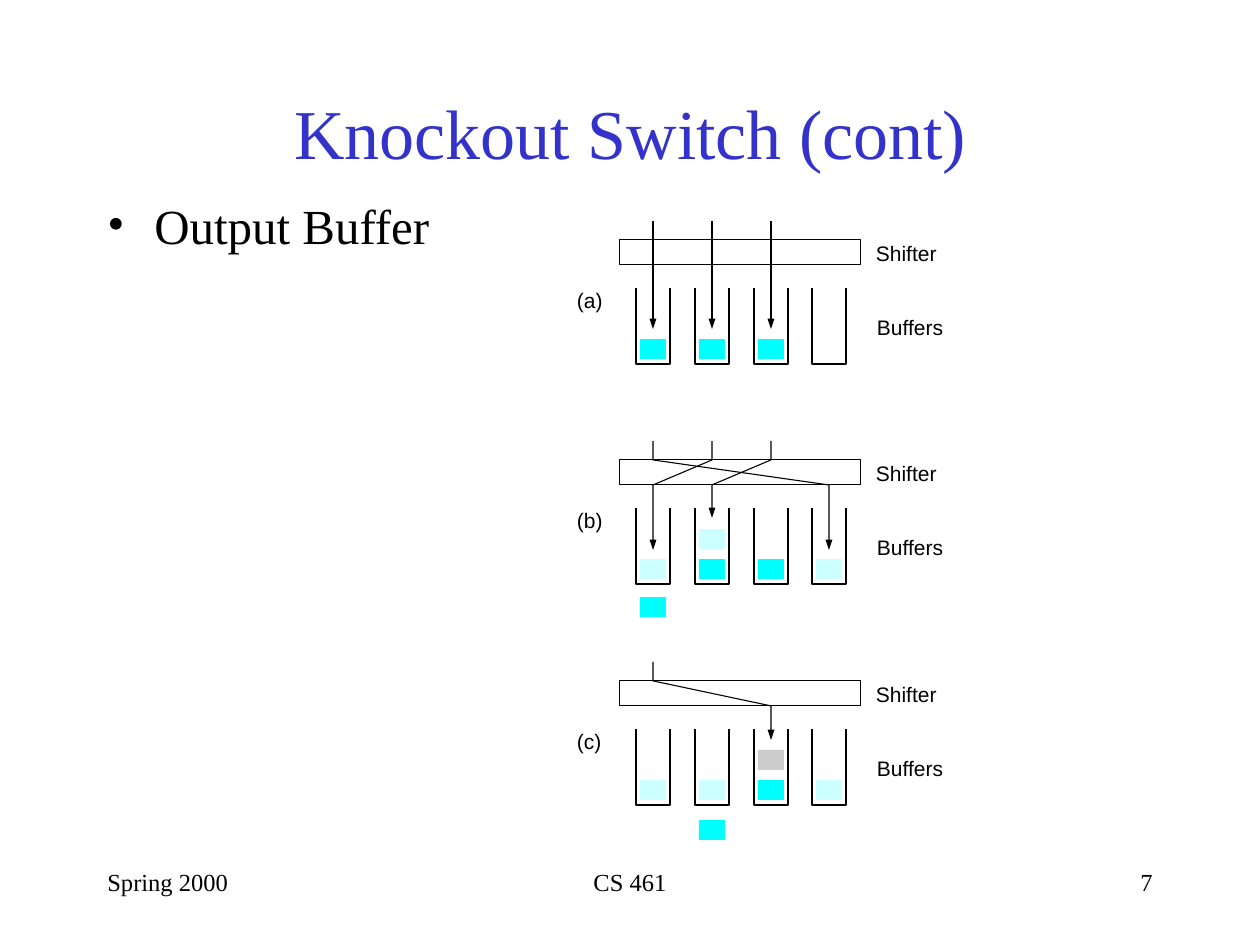
from lxml.etree import SubElement
from pptx import Presentation
from pptx.dml.color import RGBColor
from pptx.enum.shapes import MSO_CONNECTOR as CONNECTOR, MSO_SHAPE as SHAPE
from pptx.enum.text import MSO_ANCHOR as ANCHOR, PP_ALIGN as ALIGN
from pptx.oxml.ns import qn
from pptx.util import Pt

PX = 914400 / 126
SERIF, SANS = "Times New Roman", "Arial"
BLACK, CYAN, PALE, GREY = "000000", "00FFFF", "CCFFFF", "CCCCCC"
rgb = RGBColor.from_string

deck = Presentation()
deck.slide_width, deck.slide_height = round(1260 * PX), round(945 * PX)
slide = deck.slides.add_slide(deck.slide_layouts[6])
shapes = slide.shapes


def add_text(words, box, size, face=SERIF, color=BLACK, align=ALIGN.LEFT, inset=True):
    frame = shapes.add_textbox(*(round(v * PX) for v in box)).text_frame
    frame.word_wrap = inset
    if not inset:
        frame.margin_left = frame.margin_right = 0
        frame.margin_top = frame.margin_bottom = 0
    frame.text = words
    paragraph = frame.paragraphs[0]
    paragraph.alignment = align
    font = paragraph.runs[0].font
    font.size, font.name, font.color.rgb = Pt(size), face, rgb(color)
    return frame


def add_path(points, arrow=False):
    if len(points) == 2:
        ends = [round(v * PX) for point in points for v in point]
        path = shapes.add_connector(CONNECTOR.STRAIGHT, *ends)
        SubElement(path._element.spPr, qn("a:effectLst"))
    else:
        builder = shapes.build_freeform(*points[0], scale=PX)
        builder.add_line_segments(points[1:], close=False)
        path = builder.convert_to_shape()
        path.fill.background()
        path.shadow.inherit = False
    path.line.color.rgb, path.line.width = rgb(BLACK), Pt(0.62)
    if arrow:
        SubElement(path.line._get_or_add_ln(), qn("a:tailEnd"),
                   type="triangle", w="sm", len="med")


title = add_text("Knockout Switch (cont)", (95, 53, 1071, 158), 40,
                 color="3333CC", align=ALIGN.CENTER)
title.vertical_anchor = ANCHOR.MIDDLE

body = add_text("Output Buffer", (95, 189, 1071, 567), 28)
body_props = body.paragraphs[0]._p.get_or_add_pPr()
body_props.set("marL", str(round(47 * PX)))
body_props.set("indent", str(round(-47 * PX)))
SubElement(body_props, qn("a:buFont"), typeface=SERIF)
SubElement(body_props, qn("a:buChar"), char="•")

lanes = [653, 712, 771, 829]
first, second, third, fourth = lanes
IN, OUT = 19, 44
BOTTOM, ABOVE = 118, 88

panels = [
    ("(a)", 221,
     [(lane, BOTTOM, CYAN) for lane in lanes[:3]],
     [[(lane, 0), (lane, 108)] for lane in lanes[:3]]),
    ("(b)", 441,
     [(first, BOTTOM, PALE), (first, 156, CYAN), (second, BOTTOM, CYAN),
      (second, ABOVE, PALE), (third, BOTTOM, CYAN), (fourth, BOTTOM, PALE)],
     [[(second, 0), (second, IN), (first, OUT), (first, 109)],
      [(third, 0), (third, IN), (second, OUT), (second, 77)],
      [(first, 0), (first, IN), (fourth, OUT), (fourth, 109)]]),
    ("(c)", 662,
     [(first, BOTTOM, PALE), (second, BOTTOM, PALE), (second, 158, CYAN),
      (third, BOTTOM, CYAN), (third, ABOVE, GREY), (fourth, BOTTOM, PALE)],
     [[(first, 0), (first, IN), (third, OUT), (third, 78)]]),
]

for tag, top, packets, routes in panels:
    shifter = shapes.add_shape(SHAPE.RECTANGLE, *(
        round(v * PX) for v in (620, top + IN, 241, OUT - IN)))
    shifter.fill.background()
    shifter.line.color.rgb, shifter.line.width = rgb(BLACK), Pt(0.62)
    shifter.shadow.inherit = False

    for lane in lanes:
        left, right, rim, floor = lane - 17, lane + 17, top + 67, top + 143
        add_path([(left, rim), (left, floor), (right, floor), (right, rim)])

    for lane, drop, color in packets:
        packet = shapes.add_shape(SHAPE.RECTANGLE, *(
            round(v * PX) for v in (lane - 13, top + drop, 26, 20)))
        packet.fill.solid()
        packet.fill.fore_color.rgb = rgb(color)
        packet.line.fill.background()
        packet.shadow.inherit = False

    for route in routes:
        add_path([(x, top + y) for x, y in route], arrow=True)

    for words, x, y, width in ((tag, 577, 67, 28), ("Shifter", 876, 20, 66),
                               ("Buffers", 877, 94, 70)):
        add_text(words, (x, top + y, width, 25), 12, SANS, inset=False)

for words, x, width, align in (("Spring 2000", 95, 262, ALIGN.LEFT),
                               ("CS 461", 430, 400, ALIGN.CENTER),
                               ("7", 903, 262, ALIGN.RIGHT)):
    add_text(words, (x, 861, width, 63), 14, align=align)

deck.save("out.pptx")
